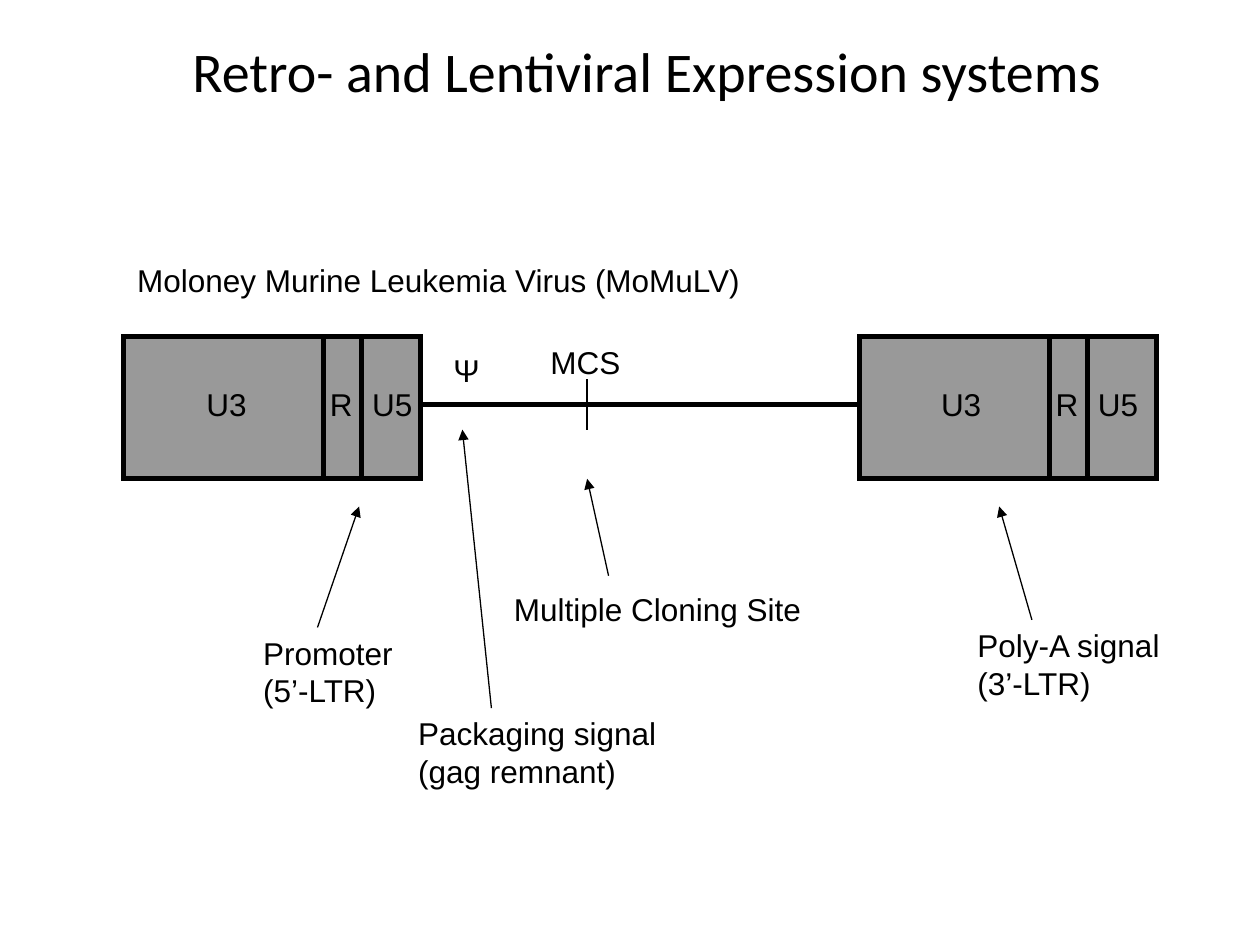
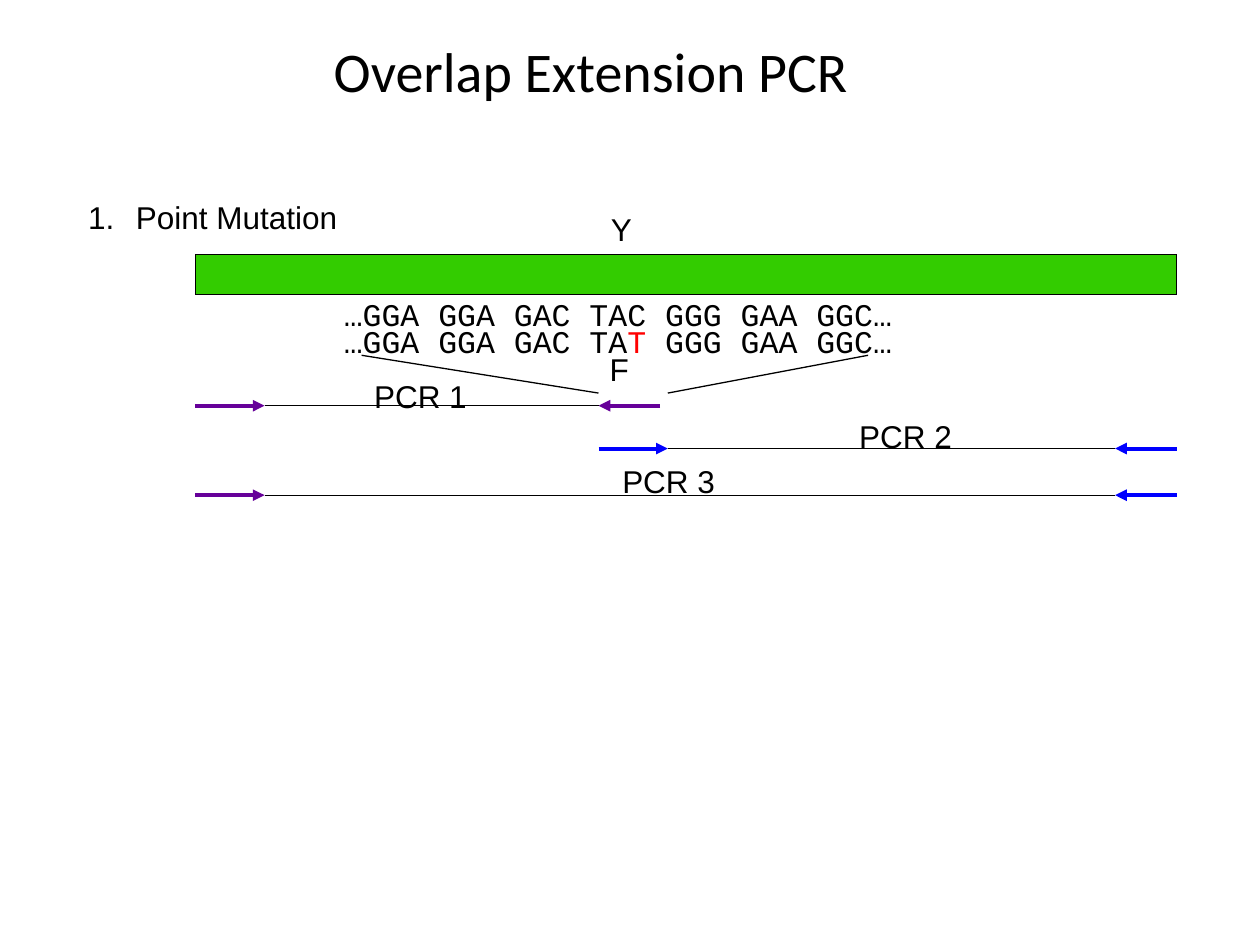
from lxml import etree
from pptx import Presentation
from pptx.dml.color import RGBColor
from pptx.enum.shapes import MSO_CONNECTOR, MSO_SHAPE
from pptx.enum.text import MSO_AUTO_SIZE, PP_ALIGN
from pptx.oxml.ns import qn
from pptx.util import Inches, Pt

STRAIGHT = MSO_CONNECTOR.STRAIGHT
RECTANGLE = MSO_SHAPE.RECTANGLE
FIT = MSO_AUTO_SIZE.SHAPE_TO_FIT_TEXT
LEFT, CENTER = PP_ALIGN.LEFT, PP_ALIGN.CENTER

BLACK = RGBColor(0x00, 0x00, 0x00)
GRAY = RGBColor(0x99, 0x99, 0x99)
GREEN = RGBColor(0x33, 0xCC, 0x00)
PURPLE = RGBColor(0x66, 0x00, 0x99)
BLUE = RGBColor(0x00, 0x00, 0xFF)
RED = RGBColor(0xFF, 0x00, 0x00)

THIN, MEDIUM, THICK = 0.74, 2.24, 3
LINE_HEIGHT = 4

deck = Presentation()
deck.slide_width, deck.slide_height = Inches(10), Inches(7.5)
COLUMN = deck.slide_width / 100
ROW = deck.slide_height / 75
blank = deck.slide_layouts[6]


def write(shapes, text, left, top, width, height=LINE_HEIGHT, font="Arial", size=18):
    box = shapes.add_textbox(int(left * COLUMN), int(top * ROW), int(width * COLUMN), int(height * ROW))
    frame = box.text_frame
    frame.text = text
    frame.word_wrap = False
    frame.auto_size = FIT
    for paragraph in frame.paragraphs:
        for run in paragraph.runs:
            run.font.name, run.font.size = font, Pt(size)
            run.font.color.rgb = BLACK
    return frame


def draw_line(shapes, x1, y1, x2, y2, color=BLACK, weight=THIN, arrow=False):
    line = shapes.add_connector(STRAIGHT, int(x1 * COLUMN), int(y1 * ROW), int(x2 * COLUMN), int(y2 * ROW))
    line.line.color.rgb = color
    line.line.width = Pt(weight)
    if arrow:
        etree.SubElement(line.line._get_or_add_ln(), qn("a:tailEnd"), type="triangle")
    etree.SubElement(line._element.spPr, qn("a:effectLst"))


pages = []
for title, left, width, alignment in (
    ("Retro- and Lentiviral Expression systems", 7.6, 87.5, CENTER),
    ("Overlap Extension PCR", 25.5, 53.8, LEFT),
):
    page = deck.slides.add_slide(blank).shapes
    heading = write(page, title, left, 2.4, width, 6.4, "Calibri", 32)
    heading.word_wrap = True
    heading.paragraphs[0].alignment = alignment
    pages.append(page)
vector, mutation = pages

REPEAT_TOP, REPEAT_WIDTH, REPEAT_HEIGHT = 26.7, 23.6, 11.3
REPEAT_BOTTOM = REPEAT_TOP + REPEAT_HEIGHT
bars = [
    (vector, left, REPEAT_TOP, REPEAT_WIDTH, REPEAT_HEIGHT, GRAY, THICK)
    for left in (9.8, 68.2)
] + [(mutation, 15.5, 20.2, 77.9, 3.2, GREEN, THIN)]
for page, left, top, width, height, color, weight in bars:
    bar = page.add_shape(RECTANGLE, int(left * COLUMN), int(top * ROW), int(width * COLUMN), int(height * ROW))
    bar.shadow.inherit = False
    bar.fill.solid()
    bar.fill.fore_color.rgb = color
    bar.line.color.rgb = BLACK
    bar.line.width = Pt(weight)
    etree.SubElement(bar.line._get_or_add_ln(), qn("a:miter"), lim="800000")

draw_line(vector, 33.4, 32.1, 68.2, 32.1, weight=THICK)
for u3_left, r_edge in ((15.4, 25.7), (73.7, 83.3)):
    for edge in (r_edge, r_edge + 3):
        draw_line(vector, edge, REPEAT_TOP, edge, REPEAT_BOTTOM, weight=THICK)
    for region, left, width in (
        ("U3", u3_left, 5.2),
        ("R", r_edge - 0.5, 3.8),
        ("U5", r_edge + 2.85, 5.2),
    ):
        write(vector, region, left, 30.1, width)

for label, left, top, width, height in (
    ("Moloney Murine Leukemia Virus (MoMuLV)", 9.9, 20.2, 50.1, LINE_HEIGHT),
    ("Ψ", 35, 27.4, 4, LINE_HEIGHT),
    ("MCS", 42.7, 26.7, 7.8, LINE_HEIGHT),
    ("Packaging signal\n(gag remnant)", 32.2, 56.2, 20.9, 7),
    ("Promoter\n(5’-LTR)", 19.9, 49.8, 12.3, 7),
    ("Multiple Cloning Site", 39.8, 46.3, 24.8, LINE_HEIGHT),
    ("Poly-A signal\n(3’-LTR)", 76.6, 49.2, 16.6, 7),
):
    write(vector, label, left, top, width, height)

draw_line(vector, 46.6, 30.1, 46.6, 34.1)
for pointer in (
    (25.2, 49.8, 28.5, 40.2),
    (39, 56.2, 36.7, 34.1),
    (48.3, 45.7, 46.6, 38),
    (81.9, 49.2, 79.3, 40.2),
):
    draw_line(vector, *pointer, arrow=True)

point_mutation = write(mutation, "Point Mutation", 6, 15.2, 22.5, 31)
numbering = point_mutation.paragraphs[0]._p.get_or_add_pPr()
indent = int(3.8 * COLUMN)
numbering.set("marL", str(indent))
numbering.set("indent", str(-indent))
etree.SubElement(numbering, qn("a:buFont"), typeface="Arial")
etree.SubElement(numbering, qn("a:buAutoNum"), type="arabicPeriod")

write(mutation, "Y", 47.5, 16.2, 3.6)
write(mutation, "F", 47.4, 27.3, 3.5)
write(mutation, "…GGA GGA GAC TAC GGG GAA GGC…", 26.3, 22.9, 45.5, font="Courier New")
mutant = write(mutation, "…GGA GGA GAC TA", 26.3, 25.1, 45.5, font="Courier New")
for bases, color in (("T", RED), (" GGG GAA GGC…", BLACK)):
    run = mutant.paragraphs[0].add_run()
    run.text = bases
    run.font.name, run.font.size = "Courier New", Pt(18)
    run.font.color.rgb = color

FORWARD, REVERSE = 5.5, 4.9
for product, start, end, level, left, top, forward_color, reverse_color in (
    ("PCR 1", 15.5, 52.4, 32.2, 28.7, 29.4, PURPLE, PURPLE),
    ("PCR 2", 47.5, 93.4, 35.6, 67.2, 32.6, BLUE, BLUE),
    ("PCR 3", 15.5, 93.4, 39.3, 48.4, 36.2, PURPLE, BLUE),
):
    reaction = mutation.add_group_shape().shapes
    draw_line(reaction, start, level, start + FORWARD, level, forward_color, MEDIUM, True)
    draw_line(reaction, end, level, end - REVERSE, level, reverse_color, MEDIUM, True)
    write(reaction, product, left, top, 9.8)
    draw_line(reaction, start + FORWARD, level, end - REVERSE, level)

for sequence_edge, primer_edge in ((28.7, 47.5), (68.9, 53)):
    draw_line(mutation, sequence_edge, 28.2, primer_edge, 31.2)

deck.save("out.pptx")
